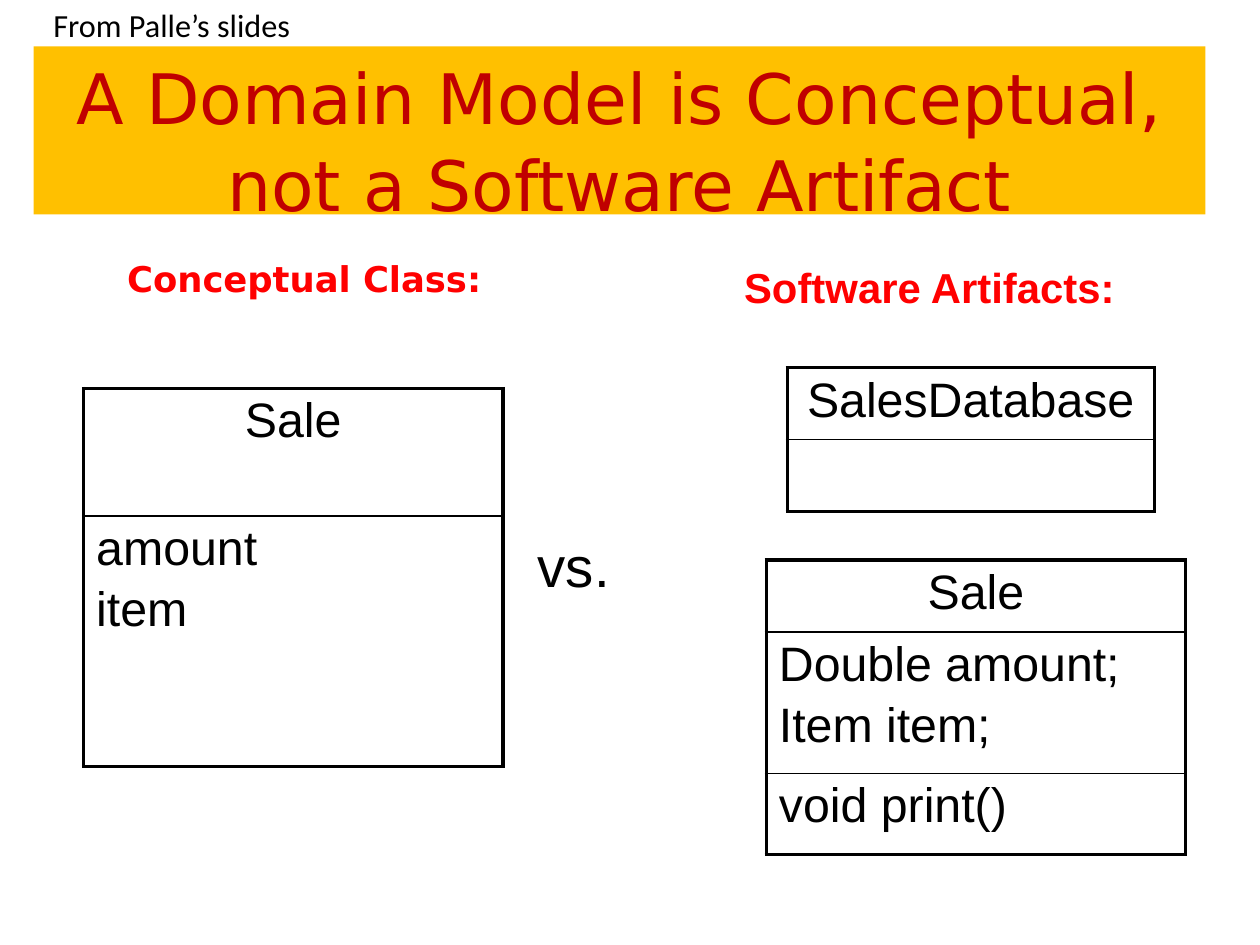
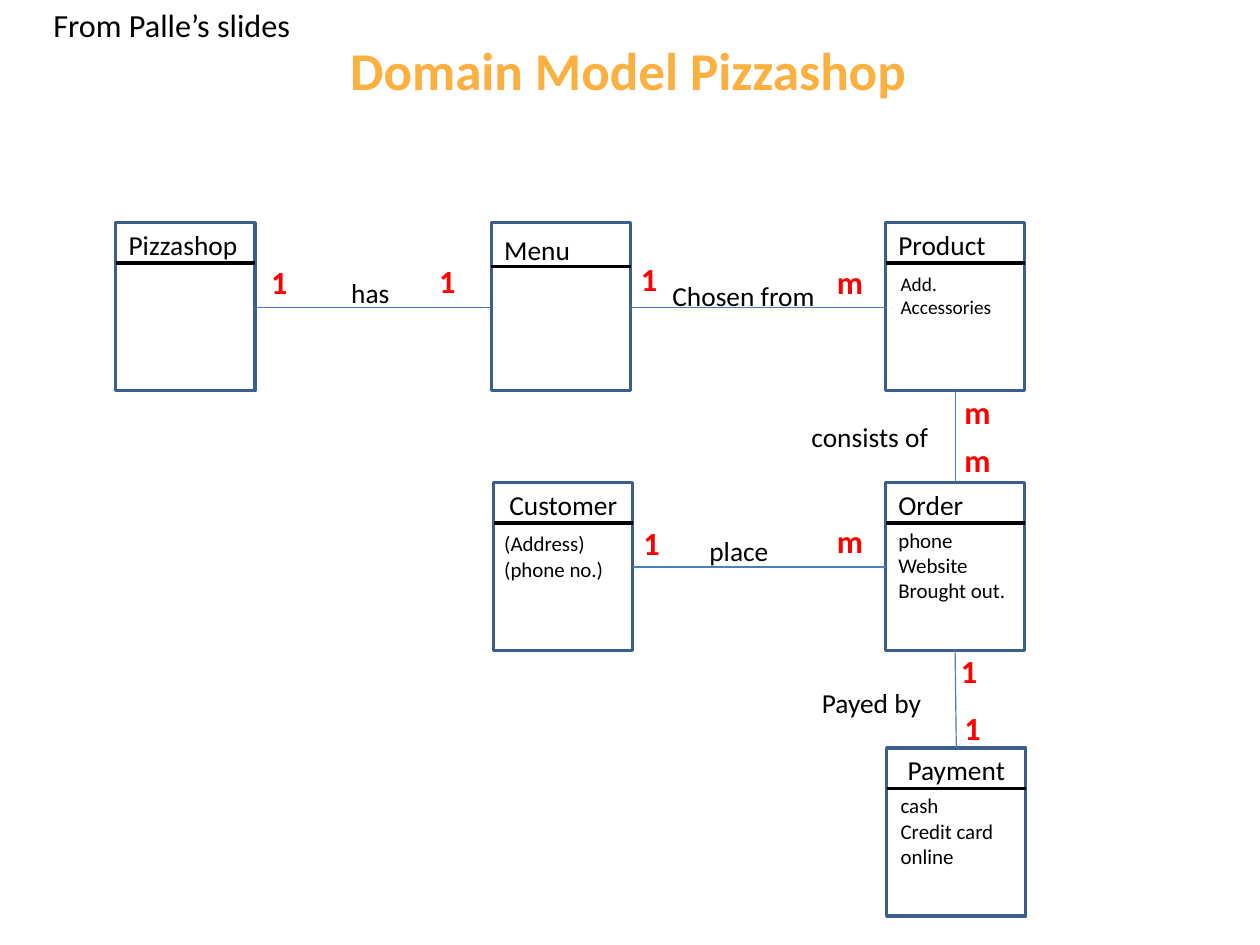
"""Build two slides on domain models: concept versus software, and a pizza shop."""
from dataclasses import dataclass

from lxml.etree import SubElement
from pptx import Presentation
from pptx.dml.color import RGBColor
from pptx.enum.shapes import MSO_CONNECTOR, MSO_SHAPE
from pptx.enum.text import MSO_ANCHOR, PP_ALIGN
from pptx.oxml.ns import qn
from pptx.util import Emu, Pt

EMU_PER_PX = 9144
PAGE_WIDTH, PAGE_HEIGHT = 1087, 815
INSET_X, INSET_Y = 11, 5
CLASS_WIDTH, CLASS_HEIGHT = 120, 145

COLORS = {
    "black": "000000",
    "red": "FF0000",
    "dark red": "C00000",
    "gold": "FFC000",
    "amber": "FBB040",
    "outline": "3A5F8C",
    "link": "4B7EBC",
}


@dataclass(frozen=True)
class Style:
    size: float
    font: str = "Calibri"
    color: str = "black"
    bold: bool = False
    align: PP_ALIGN = PP_ALIGN.LEFT
    before: float = 0
    spacing: float = 1.0


@dataclass(frozen=True)
class Label:
    text: str
    x: int
    y: int
    width: int
    height: int
    style: Style


@dataclass(frozen=True)
class ClassTable:
    x: int
    y: int
    width: int
    row_heights: tuple[int, ...]
    rows: tuple[str, ...]


@dataclass(frozen=True)
class ClassBox:
    name: str
    x: int
    y: int
    rule: int = 35
    name_drop: int = 0
    align: PP_ALIGN = PP_ALIGN.LEFT
    attributes: str = ""
    shift: int = 0
    drop: int = 34
    size: int = 13


@dataclass(frozen=True)
class Link:
    x1: int
    y1: int
    x2: int
    y2: int


CREDIT = Label("From Palle’s slides", 35, 0, 231, 44, Style(20))
BANNER_STYLE = Style(43.2, "DejaVu Sans", "dark red", align=PP_ALIGN.CENTER, spacing=1.04)
TITLE_STYLE = Style(33, color="amber", bold=True, align=PP_ALIGN.CENTER)
CELL_STYLE = Style(30, "Arial", before=4.6)
CELL_HEAD_STYLE = Style(30, "Arial", align=PP_ALIGN.CENTER)
ROLE_STYLE = Style(17)
COUNT_STYLE = Style(20, color="red", bold=True)

BANNER = Label("A Domain Model is Conceptual,\vnot a Software Artifact",
               29, 40, 1011, 145, BANNER_STYLE)
COMPARISON_LABELS = (
    Label("Conceptual Class:", 36, 217, 453, 91,
          Style(22, "DejaVu Sans", "red", True, PP_ALIGN.CENTER, 2)),
    Label("Software Artifacts:", 631, 221, 453, 91,
          Style(26, "Arial", "red", True, before=3)),
    Label("vs.", 453, 453, 217, 91, Style(35, "Arial", before=4)),
)
CLASS_TABLES = (
    ClassTable(72, 335, 362, (110, 216), ("Sale", "amount\nitem")),
    ClassTable(679, 317, 317, (62, 62), ("SalesDatabase", "")),
    ClassTable(661, 483, 362, (62, 122, 70),
               ("Sale", "Double amount;\nItem item;", "void print()")),
)

SHOP_TITLE = Label("Domain Model Pizzashop", 53, 2, 978, 115, TITLE_STYLE)
CLASS_BOXES = (
    ClassBox("Pizzashop", 100, 192),
    ClassBox("Menu", 424, 192, rule=38, name_drop=4),
    ClassBox("Product", 764, 192, attributes="Add. Accessories", shift=2, drop=38, size=12),
    ClassBox("Customer", 426, 416, align=PP_ALIGN.CENTER,
             attributes="(Address)\n(phone no.)", shift=-2, drop=37),
    ClassBox("Order", 764, 416, attributes="phone\nWebsite\nBrought out."),
    ClassBox("Payment", 765, 645, align=PP_ALIGN.CENTER,
             attributes="cash\nCredit card\nonline", shift=1),
)
LINKS = (
    Link(220, 265, 424, 265),
    Link(544, 265, 764, 265),
    Link(824, 337, 824, 416),
    Link(824, 561, 825, 645),
    Link(546, 489, 764, 489),
)
ROLES = (
    ("has", 292, 233),
    ("Chosen from", 569, 236),
    ("consists of", 689, 357),
    ("place", 601, 456),
    ("Payed by", 698, 587),
)
COUNTS = (
    ("1", 223, 221), ("1", 368, 220),
    ("1", 542, 219), ("m", 711, 221),
    ("m", 821, 333), ("m", 821, 375),
    ("1", 544, 446), ("m", 711, 445),
    ("1", 818, 557), ("1", 821, 606),
)


def px(length: int) -> Emu:
    """Turn px into EMU."""
    return Emu(length * EMU_PER_PX)


def rgb(name: str) -> RGBColor:
    """Look up a named colour."""
    return RGBColor.from_string(COLORS[name])


def write(frame, text: str, style: Style) -> None:
    """Write text run by run, with a newline per paragraph and \\v per line break."""
    for index, line in enumerate(text.split("\n")):
        para = frame.paragraphs[0] if index == 0 else frame.add_paragraph()
        para.alignment = style.align
        para.space_before = Pt(style.before)
        para.line_spacing = style.spacing
        for part_index, part in enumerate(line.split("\v")):
            if part_index:
                para.add_line_break()
            span = para.add_run()
            span.text = part
            span.font.name = style.font
            span.font.size = Pt(style.size)
            span.font.bold = style.bold
            span.font.color.rgb = rgb(style.color)


def add_label(page, label: Label, anchor: MSO_ANCHOR = MSO_ANCHOR.TOP):
    """Add a wrapped text box."""
    box = page.shapes.add_textbox(px(label.x), px(label.y), px(label.width), px(label.height))
    frame = box.text_frame
    frame.word_wrap = True
    frame.vertical_anchor = anchor
    frame.margin_left = frame.margin_right = px(INSET_X)
    frame.margin_top = frame.margin_bottom = px(INSET_Y)
    write(frame, label.text, label.style)
    return box


def add_line(page, link: Link, color: str, width: float) -> None:
    """Add a straight line without shadow."""
    line = page.shapes.add_connector(
        MSO_CONNECTOR.STRAIGHT, px(link.x1), px(link.y1), px(link.x2), px(link.y2))
    line.line.color.rgb = rgb(color)
    line.line.width = Pt(width)
    SubElement(line._element.spPr, qn("a:effectLst"))


def add_cell_borders(cell, first: bool, last: bool) -> None:
    """Draw thick outer borders and thin lines between rows."""
    properties = cell._tc.get_or_add_tcPr()
    thick, thin = 2.25, 1
    widths = {"L": thick, "R": thick,
              "T": thick if first else thin, "B": thick if last else thin}
    for side, width in widths.items():
        border = SubElement(properties, qn(f"a:ln{side}"), w=str(Pt(width)))
        fill = SubElement(border, qn("a:solidFill"))
        SubElement(fill, qn("a:srgbClr"), val=COLORS["black"])


def add_class_table(page, spec: ClassTable) -> None:
    """Add a class drawn as a one-column table."""
    count = len(spec.rows)
    table = page.shapes.add_table(count, 1, px(spec.x), px(spec.y), px(spec.width),
                                  px(sum(spec.row_heights))).table
    table.first_row = table.horz_banding = False
    for index, (text, height) in enumerate(zip(spec.rows, spec.row_heights)):
        table.rows[index].height = px(height)
        cell = table.cell(index, 0)
        cell.margin_left = cell.margin_right = px(INSET_X)
        cell.margin_top = cell.margin_bottom = px(INSET_Y)
        add_cell_borders(cell, index == 0, index == count - 1)
        cell.fill.background()
        if text:
            write(cell.text_frame, text, CELL_STYLE if index else CELL_HEAD_STYLE)
            cell.text_frame.paragraphs[0].space_before = Pt(0)


def add_class_box(page, spec: ClassBox) -> None:
    """Add an outlined class with its name, rule and attributes."""
    box = page.shapes.add_shape(MSO_SHAPE.RECTANGLE, px(spec.x), px(spec.y),
                                px(CLASS_WIDTH), px(CLASS_HEIGHT))
    box.shadow.inherit = False
    box.fill.background()
    box.line.color.rgb = rgb("outline")
    box.line.width = Pt(2)
    rule_y = spec.y + spec.rule
    add_line(page, Link(spec.x, rule_y, spec.x + CLASS_WIDTH, rule_y), "black", 2.25)
    add_label(page, Label(spec.name, spec.x, spec.y + spec.name_drop, CLASS_WIDTH, 40,
                          Style(17, align=spec.align)))
    if spec.attributes:
        add_label(page, Label(spec.attributes, spec.x + spec.shift, spec.y + spec.drop,
                              118, 77, Style(spec.size)))


def add_page(deck):
    """Add a blank page with the shared credit line."""
    page = deck.slides.add_slide(deck.slide_layouts[6])
    add_label(page, CREDIT)
    return page


def build_comparison(deck) -> None:
    """Build the slide that sets a concept against software artifacts."""
    page = add_page(deck)
    banner = add_label(page, BANNER)
    banner.fill.solid()
    banner.fill.fore_color.rgb = rgb("gold")
    for label in COMPARISON_LABELS:
        add_label(page, label)
    for table in CLASS_TABLES:
        add_class_table(page, table)


def build_pizzashop(deck) -> None:
    """Build the pizza shop class diagram."""
    page = add_page(deck)
    add_label(page, SHOP_TITLE, MSO_ANCHOR.MIDDLE)
    for class_box in CLASS_BOXES:
        add_class_box(page, class_box)
    for link in LINKS:
        add_line(page, link, "link", 0.75)
    for text, x, y in ROLES:
        add_label(page, Label(text, x, y, 149, 40, ROLE_STYLE))
    for text, x, y in COUNTS:
        add_label(page, Label(text, x, y, 53, 45, COUNT_STYLE))


def main() -> None:
    """Build and save the deck."""
    deck = Presentation()
    deck.slide_width, deck.slide_height = px(PAGE_WIDTH), px(PAGE_HEIGHT)
    build_comparison(deck)
    build_pizzashop(deck)
    deck.save("out.pptx")


if __name__ == "__main__":
    main()
